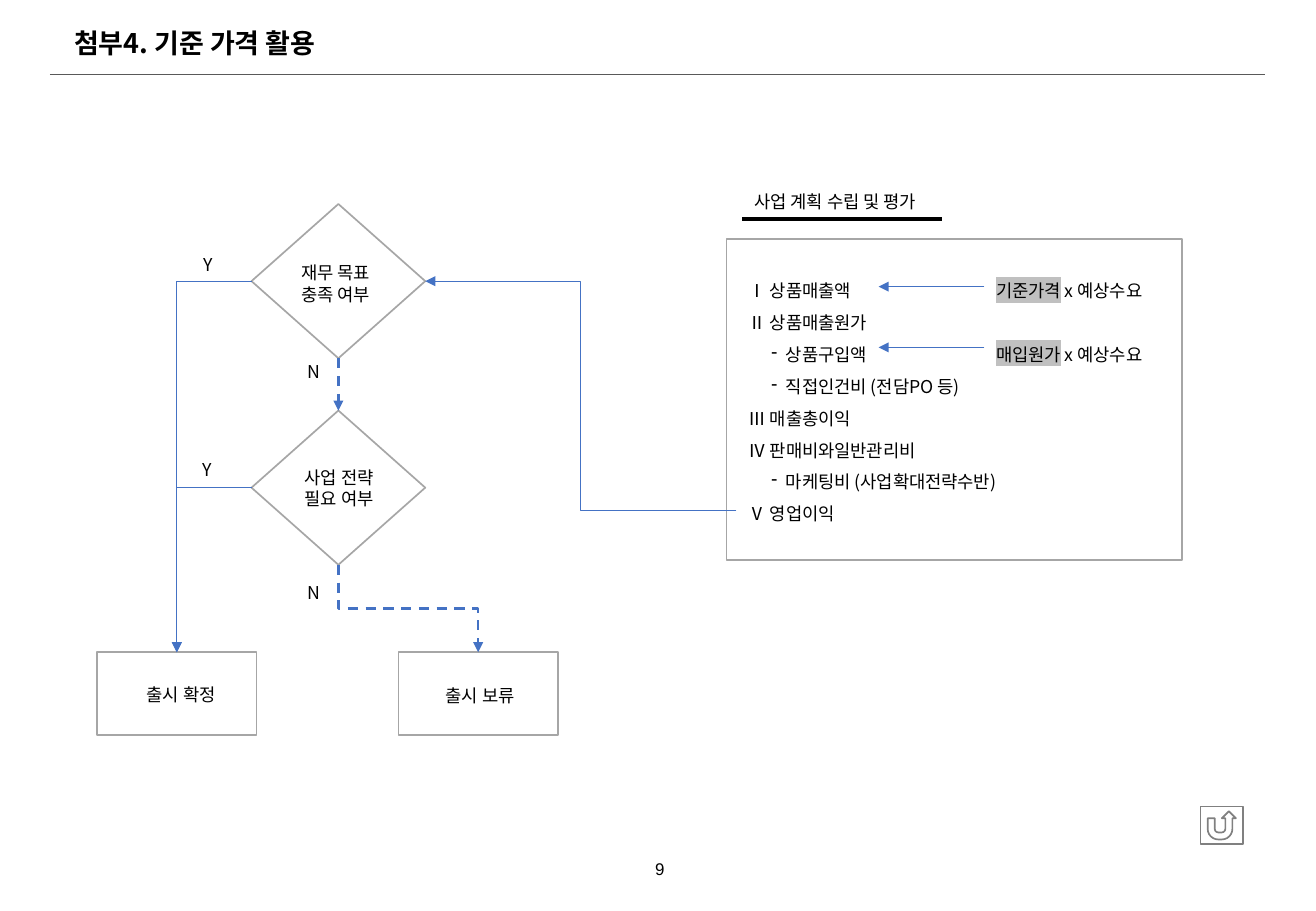
from lxml import etree
from pptx import Presentation
from pptx.dml.color import RGBColor
from pptx.enum import dml, shapes, text
from pptx.oxml import ns
from pptx.util import Inches, Pt

BLACK = RGBColor(0x00, 0x00, 0x00)
DARK_GRAY = RGBColor(0x59, 0x59, 0x59)
GRAY = RGBColor(0x80, 0x80, 0x80)
LIGHT_GRAY = RGBColor(0xA6, 0xA6, 0xA6)
HIGHLIGHT = RGBColor(0xC0, 0xC0, 0xC0)
BLUE = RGBColor(0x44, 0x72, 0xC4)

KOREAN = "Noto Sans CJK KR"
TOP, LEFT, BOTTOM, RIGHT = range(4)  # connection sites
HALF_TURN = {"rot": "10800000", "flipH": "0", "flipV": "0"}
LEFT_THEN_DOWN = {"rot": "10800000", "flipH": "0", "flipV": "1"}
DOWN_FIRST = {"rot": "16200000", "flipH": "1"}


def add_xml(parent, tag, **attributes):
    return etree.SubElement(parent, ns.qn(tag), attributes)


def add_run(paragraph, words, size=10.5, name=KOREAN, bold=False, highlight=None):
    run = paragraph.add_run()
    run.text = words
    run.font.color.rgb = BLACK
    formats = {"size": Pt(size), "bold": bold}
    for attribute, value in formats.items():
        setattr(run.font, attribute, value)
    properties = run.font._element
    if highlight is not None:
        mark = add_xml(properties, "a:highlight")
        add_xml(mark, "a:srgbClr", val=str(highlight))
    run.font.name = name
    add_xml(properties, "a:ea", typeface=name)


def add_text(slide, box, lines, spacing=None):
    """Add a text box; a line that starts with "- " becomes a dash bullet."""
    shape = slide.shapes.add_textbox(*map(Inches, box))
    frame = shape.text_frame
    frame.word_wrap = True
    frame.auto_size = text.MSO_AUTO_SIZE.SHAPE_TO_FIT_TEXT
    for index, line in enumerate(lines):
        paragraph = frame.add_paragraph() if index else frame.paragraphs[0]
        if line.startswith("- "):
            properties = paragraph._p.get_or_add_pPr()
            properties.set("marL", str(Inches(0.31)))
            properties.set("indent", str(Inches(-0.12)))
            add_xml(properties, "a:buChar", char="-")
            line = line[2:]
        if spacing:
            paragraph.line_spacing = spacing
        add_run(paragraph, line)
    return frame


def add_outline(slide, kind, box, color=LIGHT_GRAY):
    shape = slide.shapes.add_shape(kind, *map(Inches, box))
    shape.shadow.inherit = False
    shape.fill.background()
    shape.line.color.rgb = color
    shape.line.width = Pt(1)
    return shape


def add_line(slide, start, end, color=BLUE, width=0.5, arrow=False, dashed=False,
             kind=shapes.MSO_CONNECTOR.STRAIGHT):
    connector = slide.shapes.add_connector(kind, *map(Inches, start + end))
    connector.line.color.rgb = color
    connector.line.width = Pt(width)
    if dashed:
        connector.line.dash_style = dml.MSO_LINE.DASH
    if arrow:
        add_xml(connector.line._get_or_add_ln(), "a:tailEnd", type="triangle")
    add_xml(connector._element.spPr, "a:effectLst")
    return connector


def add_elbow(slide, start, end, source, target, preset, turn, **style):
    """Add a bent arrow; source and target are (shape, site) pairs."""
    connector = add_line(slide, start, end, arrow=True,
                         kind=shapes.MSO_CONNECTOR.ELBOW, **style)
    if source:
        connector.begin_connect(*source)
    connector.end_connect(*target)
    properties = connector._element.spPr
    properties.find(ns.qn("a:prstGeom")).set("prst", preset)
    for attribute, value in turn.items():
        properties.find(ns.qn("a:xfrm")).set(attribute, value)
    if turn is DOWN_FIRST:
        # A quarter turn swaps the sides around the same centre
        width, height = connector.width, connector.height
        connector.left += (width - height) // 2
        connector.top += (height - width) // 2
        connector.width, connector.height = height, width


def add_title(slide):
    title = slide.shapes.title
    box = {"left": 0.51, "top": 0.17, "width": 5.8, "height": 0.37}
    for attribute, value in box.items():
        setattr(title, attribute, Inches(value))
    frame = title.text_frame
    frame.vertical_anchor = text.MSO_ANCHOR.TOP
    frame.auto_size = text.MSO_AUTO_SIZE.SHAPE_TO_FIT_TEXT
    frame.paragraphs[0].alignment = text.PP_ALIGN.LEFT
    add_run(frame.paragraphs[0], "첨부4. 기준 가격 활용", size=16, bold=True)
    add_line(slide, (0.41, 0.61), (10.41, 0.61), DARK_GRAY, 0.25)


def add_plan(slide):
    add_text(slide, (6.11, 1.52, 3.21, 0.28), ["사업 계획 수립 및 평가"])
    add_line(slide, (6.11, 1.8), (7.75, 1.8), BLACK, 2.25)
    add_outline(slide, shapes.MSO_SHAPE.RECTANGLE, (5.98, 1.97, 3.75, 2.64))
    add_text(slide, (6.06, 2.17, 2.58, 2.46), [
        "Ⅰ 상품매출액",
        "Ⅱ 상품매출원가",
        "- 상품구입액",
        "- 직접인건비 (전담PO 등)",
        "Ⅲ 매출총이익",
        "Ⅳ 판매비와일반관리비",
        "- 마케팅비 (사업확대전략수반)",
        "Ⅴ 영업이익",
    ], spacing=1.5)
    for price, top, arrow_y in (("기준가격", 2.17, 2.36), ("매입원가", 2.69, 2.86)):
        frame = add_text(slide, (8.1, top, 2.44, 0.34), [], spacing=1.5)
        paragraph = frame.paragraphs[0]
        paragraph.line_spacing = 1.5
        add_run(paragraph, price, highlight=HIGHLIGHT)
        add_run(paragraph, " x 예상수요")
        add_line(slide, (8.1, arrow_y), (7.23, arrow_y), arrow=True)


def add_decision_flow(slide):
    # Decisions and outcomes
    finance, strategy = [
        add_outline(slide, shapes.MSO_SHAPE.FLOWCHART_DECISION, (2.07, top, 1.43, 1.27))
        for top in (1.68, 3.38)]
    launch, hold = [
        add_outline(slide, shapes.MSO_SHAPE.FLOWCHART_PROCESS, (left, 5.37, 1.31, 0.68))
        for left in (0.8, 3.28)]

    # Labels
    add_text(slide, (2.38, 2.11, 1.43, 0.45), ["재무 목표", "충족 여부"])
    add_text(slide, (2.41, 3.79, 1.43, 0.45), ["사업 전략", "필요 여부"])
    add_text(slide, (1.11, 5.58, 1.01, 0.28), ["출시 확정"])
    add_text(slide, (3.57, 5.59, 1.01, 0.28), ["출시 보류"])
    for answer, left, top in (("Y", 1.58, 2.04), ("Y", 1.57, 3.73),
                              ("N", 2.43, 2.92), ("N", 2.43, 4.74)):
        add_text(slide, (left, top, 0.31, 0.28), [answer])

    # Arrows
    add_elbow(slide, (6.06, 4.2), (3.5, 2.32), None, (finance, RIGHT),
              "bentConnector3", HALF_TURN)
    for decision, y in ((finance, 2.32), (strategy, 4.02)):
        add_elbow(slide, (2.07, y), (1.46, 5.37), (decision, LEFT), (launch, TOP),
                  "bentConnector2", LEFT_THEN_DOWN)
    down = add_line(slide, (2.78, 2.95), (2.78, 3.38), width=1.5, arrow=True, dashed=True)
    down.begin_connect(finance, BOTTOM)
    down.end_connect(strategy, TOP)
    add_elbow(slide, (2.78, 4.65), (3.94, 5.37), (strategy, BOTTOM), (hold, TOP),
              "bentConnector3", DOWN_FIRST, width=1.5, dashed=True)


def add_footer(slide):
    add_outline(slide, shapes.MSO_SHAPE.ACTION_BUTTON_RETURN,
                (9.88, 6.64, 0.35, 0.31), GRAY)
    number = slide.shapes.add_textbox(*map(Inches, (4.21, 6.95, 2.44, 0.4)))
    frame = number.text_frame
    frame.word_wrap = True
    frame.vertical_anchor = text.MSO_ANCHOR.MIDDLE
    frame.paragraphs[0].alignment = text.PP_ALIGN.CENTER
    add_run(frame.paragraphs[0], "9", size=10, name="Arial")


def main():
    presentation = Presentation()
    presentation.slide_width = Inches(10.83)
    presentation.slide_height = Inches(7.5)
    slide = presentation.slides.add_slide(presentation.slide_layouts[5])
    add_title(slide)
    add_plan(slide)
    add_decision_flow(slide)
    add_footer(slide)
    presentation.save("out.pptx")


if __name__ == "__main__":
    main()
